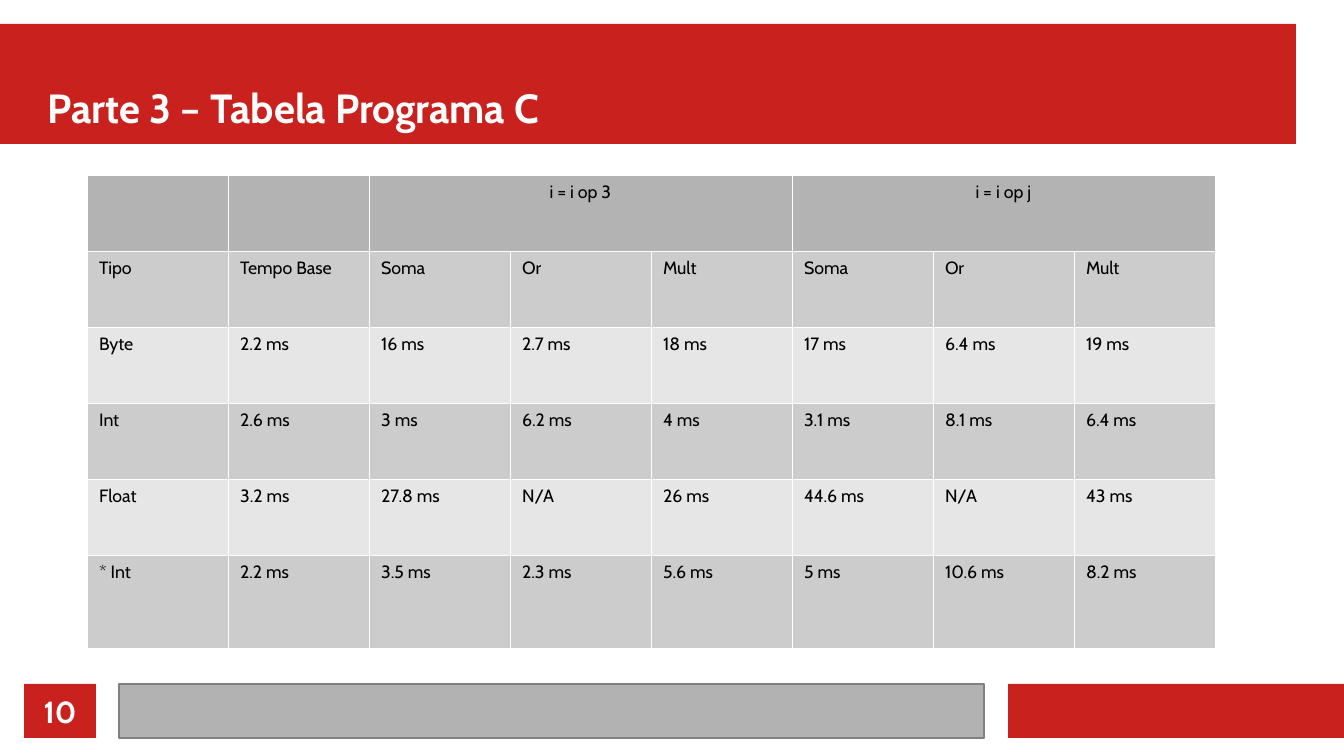
"""Build the slide with the timing table of the C program."""
from lxml import etree
from pptx import Presentation
from pptx.dml.color import RGBColor
from pptx.enum.shapes import MSO_SHAPE
from pptx.enum.text import MSO_ANCHOR, MSO_AUTO_SIZE, PP_ALIGN
from pptx.oxml.ns import qn
from pptx.util import Pt

RECT = MSO_SHAPE.RECTANGLE
LEFT, CENTER = PP_ALIGN.LEFT, PP_ALIGN.CENTER
TOP, MIDDLE, BOTTOM = MSO_ANCHOR.TOP, MSO_ANCHOR.MIDDLE, MSO_ANCHOR.BOTTOM
NO_FIT = MSO_AUTO_SIZE.NONE
PX = 914400 // 122
RED, GREY, WHITE, BLACK = "C9211E", "B2B2B2", "FFFFFF", "000000"
HEADER, DARK, LIGHT = "B3B3B3", "CCCCCC", "E6E6E6"


def rgb(value):
    return RGBColor.from_string(value)


def write(tf, text, size, color, bold=False, align=LEFT):
    p = tf.paragraphs[0]
    p.alignment = align
    r = p.add_run()
    r.text = text
    r.font.name = "Cabin"
    r.font.size = Pt(size)
    r.font.bold = bold
    r.font.color.rgb = rgb(color)


prs = Presentation()
prs.slide_width, prs.slide_height = 1344 * PX, 756 * PX
s = prs.slides.add_slide(prs.slide_layouts[5])

bars = [
    (0, 24, 1296, 120, RED),
    (1008, 684, 336, 54, RED),
    (119, 684, 865, 54, GREY),
    (24, 684, 72, 54, RED),
]
for x, y, w, h, color in bars:
    sp = s.shapes.add_shape(RECT, x * PX, y * PX, w * PX, h * PX)
    sp.shadow.inherit = False
    sp.fill.solid()
    sp.fill.fore_color.rgb = rgb(color)
    if color == GREY:
        sp.line.color.rgb = rgb("808080")
        sp.line.width = Pt(0)
    else:
        sp.line.fill.background()

title = s.shapes.title
title.left, title.top, title.width, title.height = 48 * PX, 36 * PX, 1248 * PX, 96 * PX
title.element.getparent().append(title.element)
number = s.shapes.add_textbox(-24 * PX, 684 * PX, 168 * PX, 54 * PX)
labels = [
    (title, "Parte 3 – Tabela Programa C", 24, LEFT, BOTTOM),
    (number, "10", 18, CENTER, MIDDLE),
]
for sp, text, size, align, anchor in labels:
    tf = sp.text_frame
    tf.word_wrap = True
    tf.auto_size = NO_FIT
    tf.vertical_anchor = anchor
    tf.margin_left = tf.margin_right = tf.margin_top = tf.margin_bottom = 0
    write(tf, text, size, WHITE, True, align)

rows = [
    ["", "", "i = i op 3", "", "", "i = i op j", "", ""],
    ["Tipo", "Tempo Base", "Soma", "Or", "Mult", "Soma", "Or", "Mult"],
    ["Byte", "2.2 ms", "16 ms", "2.7 ms", "18 ms", "17 ms", "6.4 ms", "19 ms"],
    ["Int", "2.6 ms", "3 ms", "6.2 ms", "4 ms", "3.1 ms", "8.1 ms", "6.4 ms"],
    ["Float", "3.2 ms", "27.8 ms", "N/A", "26 ms", "44.6 ms", "N/A", "43 ms"],
    ["* Int", "2.2 ms", "3.5 ms", "2.3 ms", "5.6 ms", "5 ms", "10.6 ms", "8.2 ms"],
]
heights = [76] * 5 + [93]
frame = s.shapes.add_table(6, 8, 87 * PX, 175 * PX, 1128 * PX, sum(heights) * PX)
table = frame.table
table.first_row = table.horz_banding = False
for column in table.columns:
    column.width = 141 * PX
for row, height in zip(table.rows, heights):
    row.height = height * PX
for first in (2, 5):
    table.cell(0, first).merge(table.cell(0, first + 2))

for i, texts in enumerate(rows):
    fill = HEADER if i == 0 else DARK if i % 2 else LIGHT
    for j, text in enumerate(texts):
        cell = table.cell(i, j)
        cell.vertical_anchor = TOP
        tcPr = cell._tc.get_or_add_tcPr()
        for side in ("lnL", "lnR", "lnT", "lnB"):
            ln = etree.SubElement(tcPr, qn(f"a:{side}"), w=str(Pt(0.06)))
            solid = etree.SubElement(ln, qn("a:solidFill"))
            etree.SubElement(solid, qn("a:srgbClr"), val=WHITE)
        cell.fill.solid()
        cell.fill.fore_color.rgb = rgb(fill)
        if text:
            write(cell.text_frame, text, 10.5, BLACK, align=LEFT if i else CENTER)

prs.save("out.pptx")
